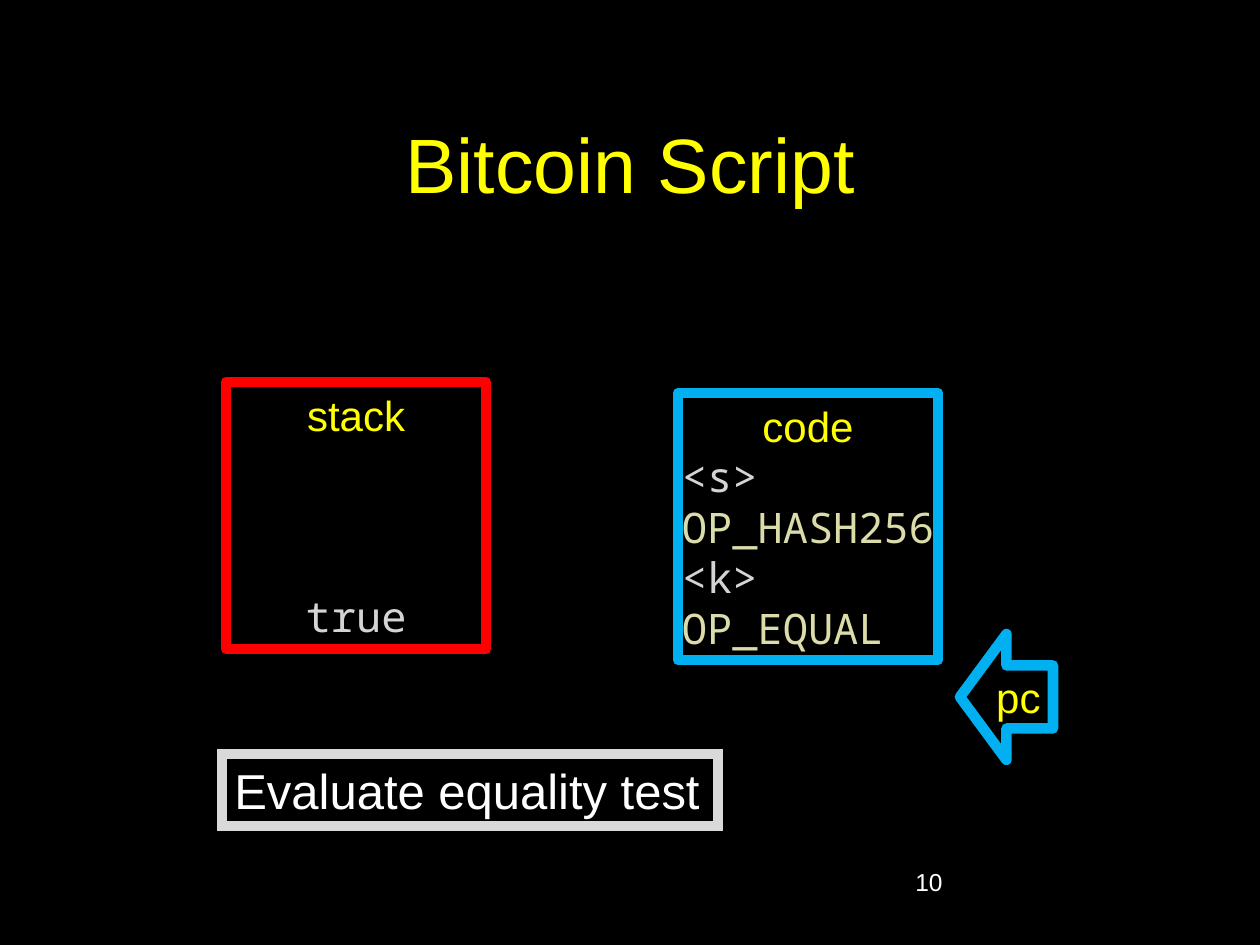
from dataclasses import dataclass

import pptx
import pptx.dml.color
import pptx.enum.shapes
import pptx.enum.text
import pptx.oxml
import pptx.oxml.ns
import pptx.util

EMU_PER_PX = 914400 / 126
SANS, MONO = "Arial", "Noto Sans Mono"
BLACK, WHITE, YELLOW = "000000", "FFFFFF", "FFFF00"
RED, BLUE, SILVER = "FF0000", "00B0F0", "D9D9D9"
VALUE, OPCODE = "D4D4D4", "DCDCAA"

Align = pptx.enum.text.PP_ALIGN
Anchor = pptx.enum.text.MSO_ANCHOR
AutoSize = pptx.enum.text.MSO_AUTO_SIZE
ShapeType = pptx.enum.shapes.MSO_SHAPE


@dataclass(frozen=True)
class Area:
    left: int
    top: int
    width: int
    height: int

    def emu(self) -> list[int]:
        return [px(n) for n in (self.left, self.top, self.width, self.height)]


@dataclass(frozen=True)
class Line:
    text: str
    size: int = 24
    font: str = SANS
    color: str = YELLOW
    align: Align = Align.LEFT
    space_before: int = 0


@dataclass(frozen=True)
class Panel:
    area: Area
    outline: str
    lines: list[Line]
    kind: ShapeType = ShapeType.RECTANGLE
    anchor: Anchor = Anchor.MIDDLE
    auto_size: AutoSize = AutoSize.NONE
    mitered: bool = False


def px(length: int) -> int:
    return round(length * EMU_PER_PX)


def rgb(color: str) -> pptx.dml.color.RGBColor:
    return pptx.dml.color.RGBColor.from_string(color)


def write_lines(text_frame: pptx.text.text.TextFrame, lines: list[Line]) -> None:
    for index, line in enumerate(lines):
        paragraph = text_frame.add_paragraph() if index else text_frame.paragraphs[0]
        paragraph.alignment = line.align
        paragraph.space_before = pptx.util.Pt(line.space_before)
        run = paragraph.add_run()
        run.text = line.text
        run.font.size = pptx.util.Pt(line.size)
        run.font.name = line.font
        run.font.color.rgb = rgb(line.color)


def draw_panel(slide: pptx.slide.Slide, panel: Panel) -> None:
    shape = slide.shapes.add_shape(panel.kind, *panel.area.emu())
    shape.shadow.inherit = False
    shape.fill.solid()
    shape.fill.fore_color.rgb = rgb(BLACK)
    shape.line.color.rgb = rgb(panel.outline)
    shape.line.width = pptx.util.Pt(6)
    if panel.mitered:
        outline = shape.element.spPr.find(pptx.oxml.ns.qn("a:ln"))
        outline.append(pptx.oxml.parse_xml(
            f'<a:miter {pptx.oxml.ns.nsdecls("a")} lim="800000"/>'))
    text_frame = shape.text_frame
    text_frame.word_wrap = False
    text_frame.auto_size = panel.auto_size
    text_frame.vertical_anchor = panel.anchor
    write_lines(text_frame, panel.lines)


def draw_title(slide: pptx.slide.Slide, area: Area, line: Line) -> None:
    title = slide.shapes.title
    title.left, title.top, title.width, title.height = area.emu()
    title.text_frame.auto_size = AutoSize.NONE
    title.text_frame.vertical_anchor = Anchor.MIDDLE
    write_lines(title.text_frame, [line])


def draw_page_number(slide: pptx.slide.Slide, area: Area, line: Line) -> None:
    text_box = slide.shapes.add_textbox(*area.emu())
    text_box.text_frame.word_wrap = True
    write_lines(text_box.text_frame, [line])


PANELS = [
    Panel(Area(678, 393, 260, 267), BLUE, [
        Line("code", align=Align.CENTER),
        Line("<s>", font=MONO, color=VALUE),
        Line("OP_HASH256", font=MONO, color=OPCODE),
        Line("<k>", font=MONO, color=VALUE),
        Line("OP_EQUAL", font=MONO, color=OPCODE),
    ]),
    Panel(Area(226, 382, 260, 267), RED, [
        Line("stack", align=Align.CENTER),
        Line("true", font=MONO, color=VALUE, align=Align.CENTER, space_before=86),
    ]),
    Panel(Area(960, 634, 93, 126), BLUE, [Line("pc", align=Align.RIGHT)],
          kind=ShapeType.LEFT_ARROW, auto_size=AutoSize.SHAPE_TO_FIT_TEXT),
    Panel(Area(222, 754, 496, 72), SILVER,
          [Line("Evaluate equality test", size=28, color=WHITE)],
          anchor=Anchor.TOP, auto_size=AutoSize.SHAPE_TO_FIT_TEXT, mitered=True),
]


def main() -> None:
    presentation = pptx.Presentation()
    presentation.slide_width = px(1260)
    presentation.slide_height = px(945)
    slide = presentation.slides.add_slide(presentation.slide_layouts[5])
    slide.background.fill.solid()
    slide.background.fill.fore_color.rgb = rgb(BLACK)
    draw_title(slide, Area(95, 84, 1071, 158),
               Line("Bitcoin Script", size=44, align=Align.CENTER))
    draw_page_number(slide, Area(903, 861, 262, 63), Line("10", size=14, color=WHITE))
    for panel in PANELS:
        draw_panel(slide, panel)
    presentation.save("out.pptx")


if __name__ == "__main__":
    main()
